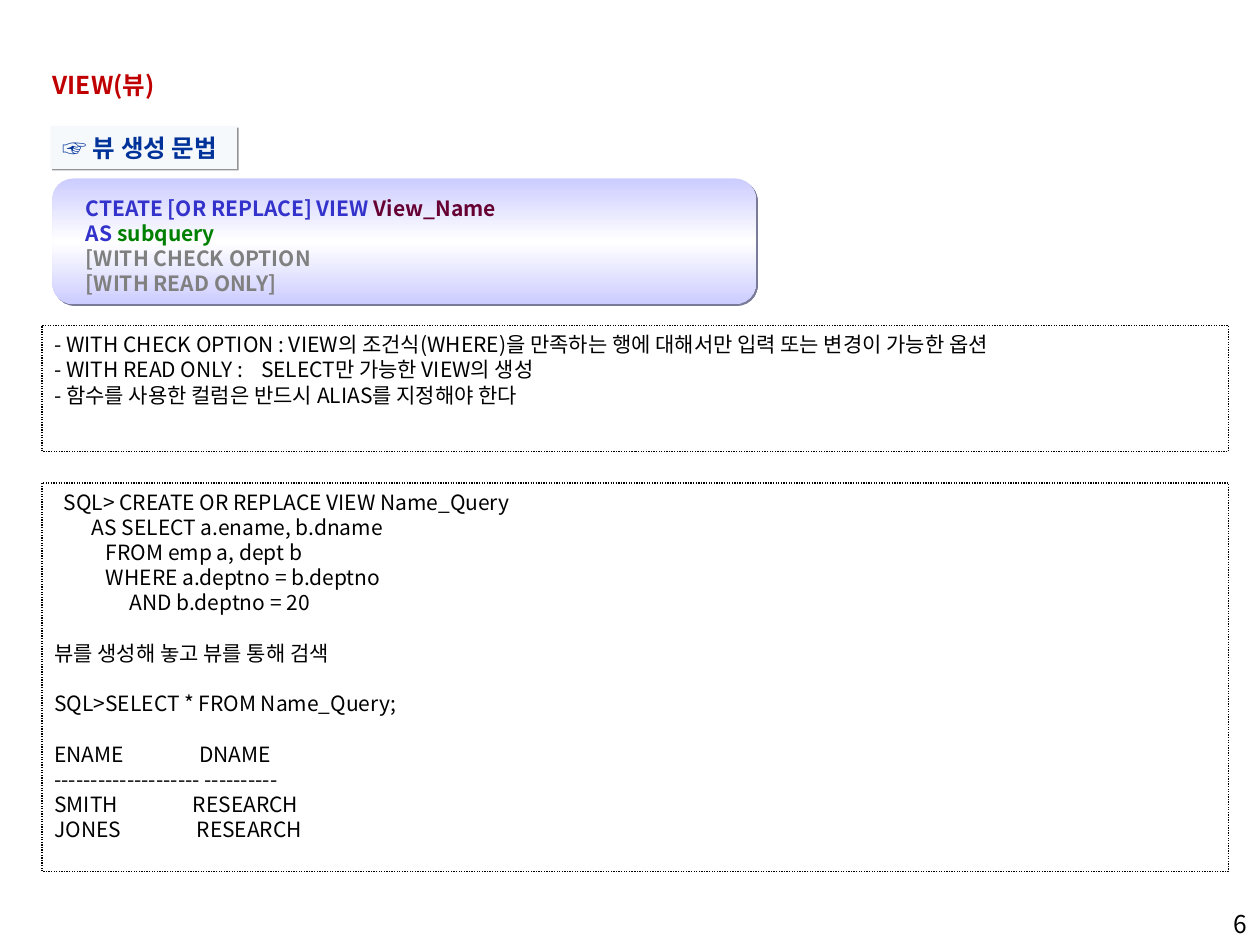
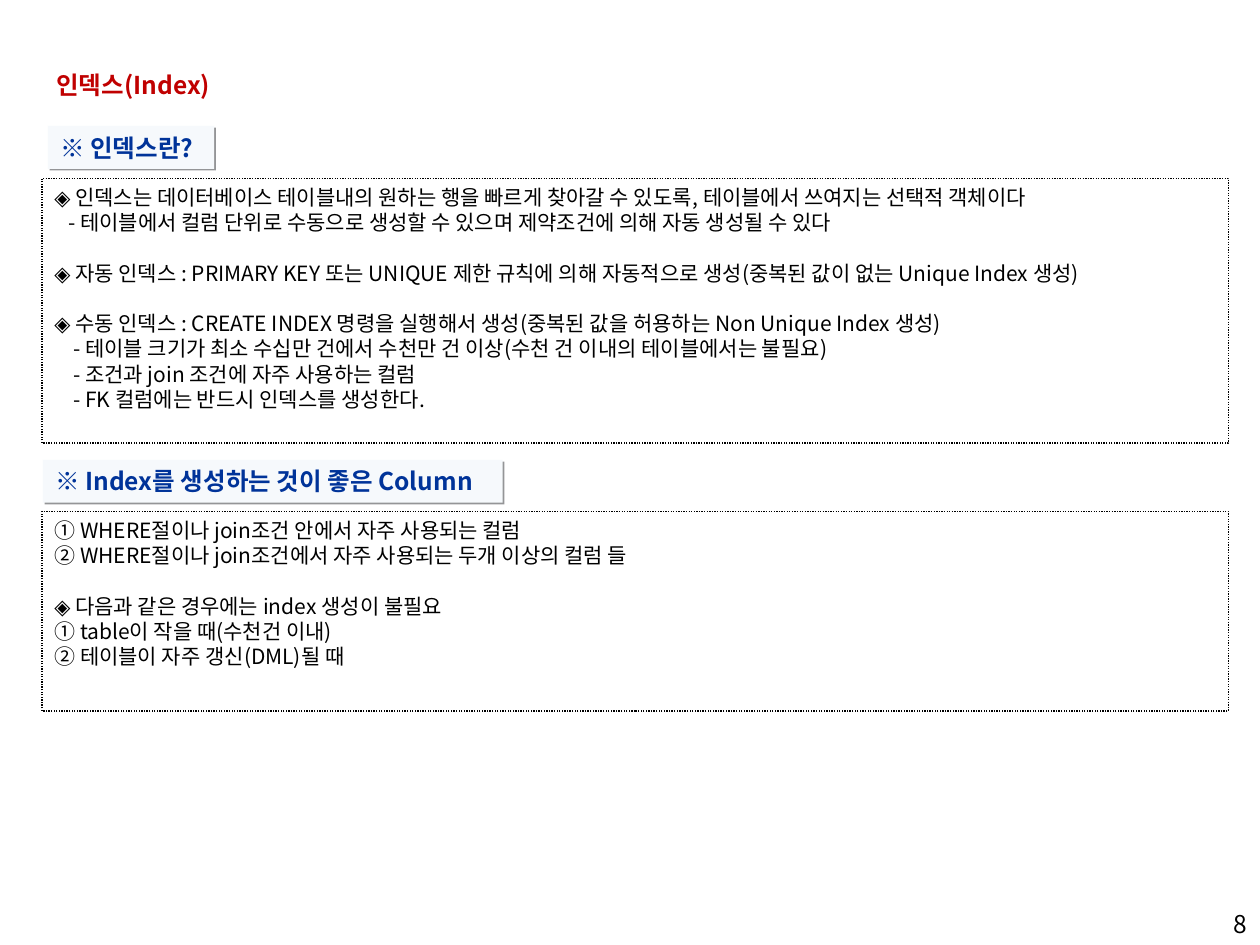
from lxml import etree
from pptx import Presentation
from pptx import util as u
from pptx.dml.color import RGBColor
from pptx.enum import dml, shapes, text
from pptx.oxml import parse_xml
from pptx.oxml.ns import nsdecls, qn

COLORS = {
    "title": "C00000", "heading": "003399", "heading_fill": "F6F9FC",
    "heading_shadow": "949597", "body": "000000", "panel_edge": "CCCCFF",
    "panel_middle": "FFFFFF", "panel_shadow": "7A7A99", "keyword": "3333CC",
    "view_name": "660033", "subquery": "008000", "option": "808080",
}
FONT = "Noto Sans CJK KR"
CELL = u.Inches(10) / 120
LEFT, WIDTH, LABEL_HEIGHT = 4, 113, 4.08
HEADING_SIZE, HEADING_PITCH = 14, 17
BODY_SIZE, BODY_PITCH = 12, 14.4

presentation = Presentation()
presentation.slide_width = int(120 * CELL)
presentation.slide_height = int(90 * CELL)


def write(shape, lines, size=BODY_SIZE, pitch=BODY_PITCH, color="body", bold=False,
          align=text.PP_ALIGN.LEFT, wrap=True, gaps=(), indents={}, tabs={}):
    frame = shape.text_frame
    frame.word_wrap = wrap
    frame.vertical_anchor = text.MSO_ANCHOR.TOP
    for index, line in enumerate(lines):
        paragraph = frame.add_paragraph() if index else frame.paragraphs[0]
        paragraph.alignment = align
        paragraph.line_spacing = u.Pt(pitch)
        if index in gaps:
            paragraph.space_before = u.Pt(pitch)
        properties = paragraph._p.get_or_add_pPr()
        if index in indents:
            properties.set("marL", str(u.Inches(indents[index])))
        if index in tabs:
            tab_list = etree.SubElement(properties, qn("a:tabLst"))
            etree.SubElement(tab_list, qn("a:tab"), pos=str(u.Inches(tabs[index])), algn="l")
        for words, run_color in [(line, color)] if isinstance(line, str) else line:
            run = paragraph.add_run()
            run.text = words
            run.font.size = u.Pt(size)
            run.font.bold = bold
            run.font.name = FONT
            run.font.color.rgb = RGBColor.from_string(COLORS[run_color])
            etree.SubElement(run._r.get_or_add_rPr(), qn("a:ea"), typeface=FONT)


def add_block(slide, left, top, width, height, preset=None, fill=None, shadow=None, dotted=False):
    place = [int(value * CELL) for value in (left, top, width, height)]
    if preset is None:
        return slide.shapes.add_textbox(*place)
    shape = slide.shapes.add_shape(preset, *place)
    shape.shadow.inherit = False
    if fill:
        shape.fill.solid()
        shape.fill.fore_color.rgb = RGBColor.from_string(COLORS[fill])
    else:
        shape.fill.background()
    if dotted:
        shape.line.color.rgb = RGBColor.from_string(COLORS["body"])
        shape.line.width = u.Pt(0.75)
        shape.line.dash_style = dml.MSO_LINE.ROUND_DOT
    else:
        shape.line.fill.background()
    if shadow:
        effects = shape._element.spPr.find(qn("a:effectLst"))
        effects.append(parse_xml(
            f'<a:outerShdw {nsdecls("a")} blurRad="0" dist="{u.Pt(1.4)}" dir="2700000" '
            f'algn="ctr" rotWithShape="0"><a:srgbClr val="{COLORS[shadow]}"/></a:outerShdw>'))
    return shape


pages = [
    {
        "number": "6",
        "title": ("VIEW(뷰)", 3.84, 13.2),
        "headings": [("☞ 뷰 생성 문법", 4.8, 12, 17.76)],
        "syntax": [
            [("CTEATE [OR REPLACE] VIEW ", "keyword"), ("View_Name", "view_name")],
            [("AS", "keyword"), (" subquery", "subquery")],
            [("[WITH CHECK OPTION", "option")],
            [("[WITH READ ONLY]", "option")],
        ],
        "boxes": [
            (31, 12, [
                "- WITH CHECK OPTION : VIEW의 조건식(WHERE)을 만족하는 행에 대해서만 입력 또는 변경이 가능한 옵션",
                "- WITH READ ONLY :\tSELECT만 가능한 VIEW의 생성",
                "- 함수를 사용한 컬럼은 반드시 ALIAS를 지정해야 한다",
            ], {"tabs": {1: 1.64}}),
            (46, 37, [
                "  SQL> CREATE OR REPLACE VIEW Name_Query",
                "        AS SELECT a.ename, b.dname",
                "           FROM emp a, dept b",
                "           WHERE a.deptno = b.deptno",
                "                AND b.deptno = 20",
                "뷰를 생성해 놓고 뷰를 통해 검색",
                "SQL>SELECT * FROM Name_Query;",
                "ENAME\tDNAME",
                "-------------------- ----------",
                "SMITH\tRESEARCH",
                "JONES\tRESEARCH",
            ], {"gaps": (5, 6, 7), "tabs": {7: 1.15, 9: 1.1, 10: 1.13}}),
        ],
    },
    {
        "number": "8",
        "title": ("인덱스(Index)", 4.2, 17.64),
        "headings": [
            ("※ 인덱스란?", 4.56, 12, 15.84),
            ("※ Index를 생성하는 것이 좋은 Column", 4.08, 43.8, 43.8),
        ],
        "syntax": [],
        "boxes": [
            (17, 25.2, [
                "◈ 인덱스는 데이터베이스 테이블내의 원하는 행을 빠르게 찾아갈 수 있도록, 테이블에서 쓰여지는 선택적 객체이다",
                "- 테이블에서 컬럼 단위로 수동으로 생성할 수 있으며 제약조건에 의해 자동 생성될 수 있다",
                "◈ 자동 인덱스 : PRIMARY KEY 또는 UNIQUE 제한 규칙에 의해 자동적으로 생성(중복된 값이 없는 Unique Index 생성)",
                "◈ 수동 인덱스 : CREATE INDEX 명령을 실행해서 생성(중복된 값을 허용하는 Non Unique Index 생성)",
                "- 테이블 크기가 최소 수십만 건에서 수천만 건 이상(수천 건 이내의 테이블에서는 불필요)",
                "- 조건과 join 조건에 자주 사용하는 컬럼",
                "- FK 컬럼에는 반드시 인덱스를 생성한다.",
            ], {"gaps": (2, 3), "indents": {1: 0.11, 4: 0.15, 5: 0.15, 6: 0.15}}),
            (48.72, 19, [
                "① WHERE절이나 join조건 안에서 자주 사용되는 컬럼",
                "② WHERE절이나 join조건에서 자주 사용되는 두개 이상의 컬럼 들",
                "◈ 다음과 같은 경우에는 index 생성이 불필요",
                "① table이 작을 때(수천건 이내)",
                "② 테이블이 자주 갱신(DML)될 때",
            ], {"gaps": (2,)}),
        ],
    },
]

for page in pages:
    slide = presentation.slides.add_slide(presentation.slide_layouts[6])
    number = add_block(slide, 95, 86, 25, 6)
    write(number, [page["number"]], size=HEADING_SIZE, pitch=HEADING_PITCH,
          align=text.PP_ALIGN.RIGHT)

    words, left, width = page["title"]
    title = add_block(slide, left, 6, width, LABEL_HEIGHT)
    write(title, [words], size=HEADING_SIZE, pitch=HEADING_PITCH, color="title",
          bold=True, wrap=False)

    for words, left, top, width in page["headings"]:
        heading = add_block(slide, left, top, width, LABEL_HEIGHT, shapes.MSO_SHAPE.RECTANGLE,
                            fill="heading_fill", shadow="heading_shadow")
        write(heading, [words], size=HEADING_SIZE, pitch=HEADING_PITCH, color="heading",
              bold=True, wrap=False)

    if page["syntax"]:
        panel = add_block(slide, 5, 17, 67, 12, shapes.MSO_SHAPE.ROUNDED_RECTANGLE,
                          shadow="panel_shadow")
        stops = "".join(
            f'<a:gs pos="{position}"><a:srgbClr val="{COLORS[name]}"/></a:gs>'
            for position, name in ((0, "panel_edge"), (50000, "panel_middle"), (100000, "panel_edge")))
        panel_properties = panel._element.spPr
        panel_properties.replace(panel_properties.find(qn("a:noFill")), parse_xml(
            f'<a:gradFill {nsdecls("a")} rotWithShape="1"><a:gsLst>{stops}</a:gsLst>'
            '<a:lin ang="5400000" scaled="1"/></a:gradFill>'))
        syntax = add_block(slide, 7, 18, 64, 10.8)
        write(syntax, page["syntax"], bold=True)

    for top, height, lines, layout in page["boxes"]:
        box = add_block(slide, LEFT, top, WIDTH, height, shapes.MSO_SHAPE.RECTANGLE, dotted=True)
        write(box, lines, **layout)

presentation.save("out.pptx")
